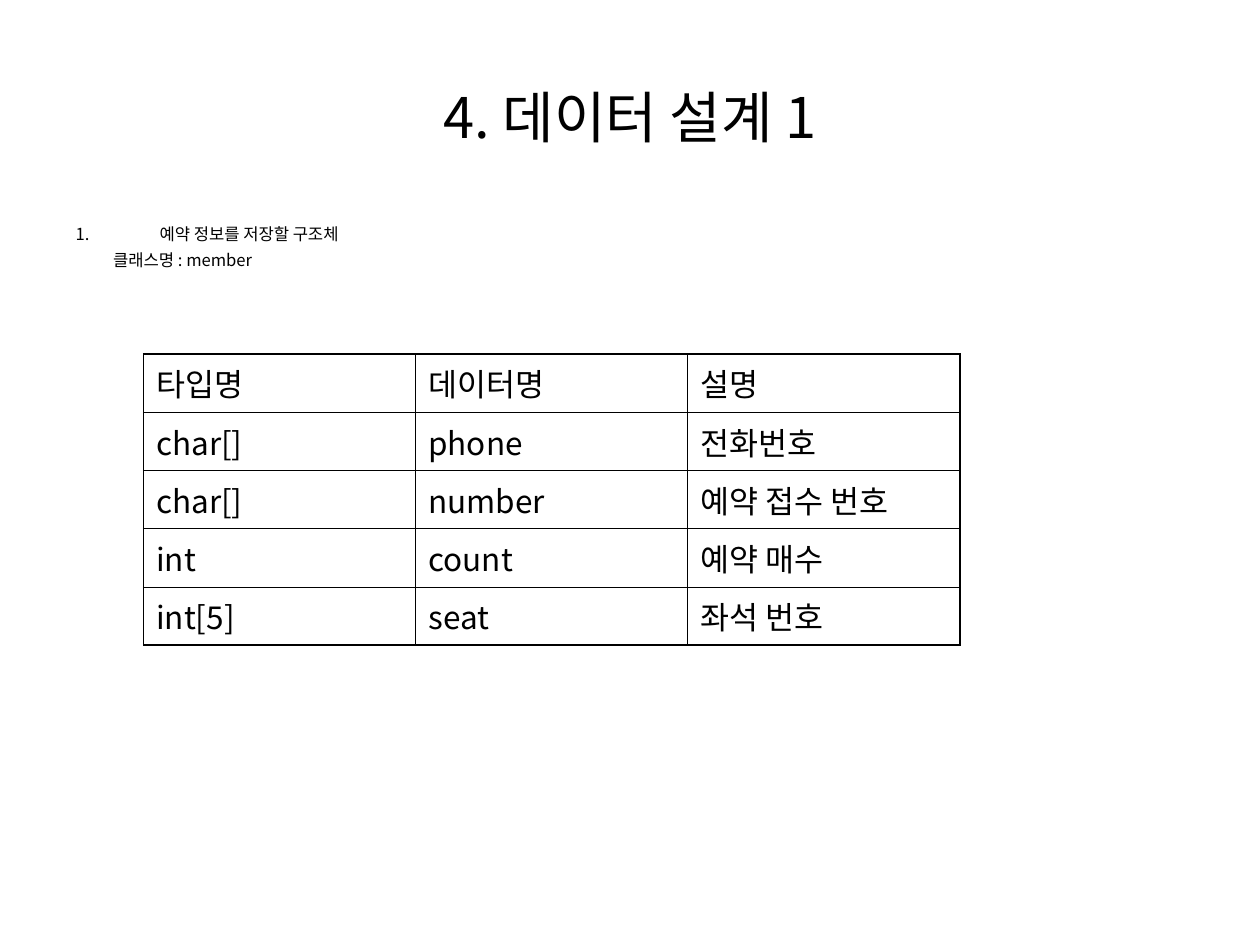
from lxml.etree import SubElement
from pptx import Presentation
from pptx.dml.color import RGBColor
from pptx.enum.text import MSO_ANCHOR, MSO_AUTO_SIZE, PP_ALIGN
from pptx.oxml.ns import qn
from pptx.util import Pt

FONT = "Noto Sans CJK KR"
BLACK = "000000"
THIN, THICK = 0.45, 1.08
ROWS = [
    ["타입명", "데이터명", "설명"],
    ["char[]", "phone", "전화번호"],
    ["char[]", "number", "예약 접수 번호"],
    ["int", "count", "예약 매수"],
    ["int[5]", "seat", "좌석 번호"],
]


def color(value):
    """Turn a hex string into a colour."""
    return RGBColor.from_string(value)


def place(shape, left, top, width, height):
    """Move and size a shape in points."""
    shape.left, shape.top = Pt(left), Pt(top)
    shape.width, shape.height = Pt(width), Pt(height)


def format_runs(paragraph, size):
    """Give every run of a paragraph the slide's font and colour."""
    for run in paragraph.runs:
        run.font.size = Pt(size)
        run.font.name = FONT
        run.font.color.rgb = color(BLACK)
        SubElement(run._r.get_or_add_rPr(), qn("a:ea"), typeface=FONT)


def add_title(slide, text):
    """Fill the title placeholder."""
    title = slide.shapes.title
    place(title, 36, 21.6, 648, 90)
    frame = title.text_frame
    frame.text = text
    frame.auto_size = MSO_AUTO_SIZE.NONE
    frame.vertical_anchor = MSO_ANCHOR.MIDDLE
    frame.paragraphs[0].alignment = PP_ALIGN.CENTER
    format_runs(frame.paragraphs[0], 32)


def set_list_style(paragraph, margin, indent, numbered):
    """Set the indents and the numbering of a list paragraph."""
    properties = paragraph._p.get_or_add_pPr()
    properties.set("marL", str(Pt(margin)))
    properties.set("indent", str(Pt(indent)))
    if numbered:
        SubElement(properties, qn("a:buFont"), typeface=FONT)
        SubElement(properties, qn("a:buAutoNum"), type="arabicPeriod")
    else:
        SubElement(properties, qn("a:buNone"))


def add_description(slide, heading, detail):
    """Fill the body placeholder with a numbered heading and its detail."""
    body = slide.placeholders[1]
    place(body, 36, 126, 648, 36)
    frame = body.text_frame
    frame.text = f"{heading}\n{detail}"
    frame.auto_size = MSO_AUTO_SIZE.NONE
    for paragraph in frame.paragraphs:
        paragraph.line_spacing = 0.88
        paragraph.space_before = Pt(4.5)
        format_runs(paragraph, 9.5)
    set_list_style(frame.paragraphs[0], 48, -48, True)
    set_list_style(frame.paragraphs[1], 21.5, 0, False)


def set_borders(cell, widths):
    """Draw the four cell borders with the given widths."""
    properties = cell._tc.get_or_add_tcPr()
    for side, width in widths.items():
        line = SubElement(properties, qn(f"a:ln{side}"), w=str(Pt(width)))
        fill = SubElement(line, qn("a:solidFill"))
        SubElement(fill, qn("a:srgbClr"), val=BLACK)


def add_field_table(slide, rows):
    """Add the table of fields with a thicker outer border."""
    last_row, last_column = len(rows) - 1, len(rows[0]) - 1
    frame = slide.shapes.add_table(
        len(rows), len(rows[0]), Pt(82.1), Pt(202.3), Pt(466.5), Pt(144)
    )
    table = frame.table
    table.first_row = table.horz_banding = False
    for row, texts in enumerate(rows):
        for column, text in enumerate(texts):
            cell = table.cell(row, column)
            cell.text = text
            paragraph = cell.text_frame.paragraphs[0]
            paragraph.space_before = Pt(4.5)
            format_runs(paragraph, 18)
            set_borders(cell, {
                "L": THICK if column == 0 else THIN,
                "R": THICK if column == last_column else THIN,
                "T": THICK if row == 0 else THIN,
                "B": THICK if row == last_row else THIN,
            })
            cell.fill.background()


def main():
    """Build the data design slide."""
    presentation = Presentation()
    presentation.slide_width, presentation.slide_height = Pt(720), Pt(540)
    slide = presentation.slides.add_slide(presentation.slide_layouts[1])
    add_title(slide, "4. 데이터 설계 1")
    add_description(slide, "예약 정보를 저장할 구조체", "클래스명 : member")
    add_field_table(slide, ROWS)
    presentation.save("out.pptx")


if __name__ == "__main__":
    main()
